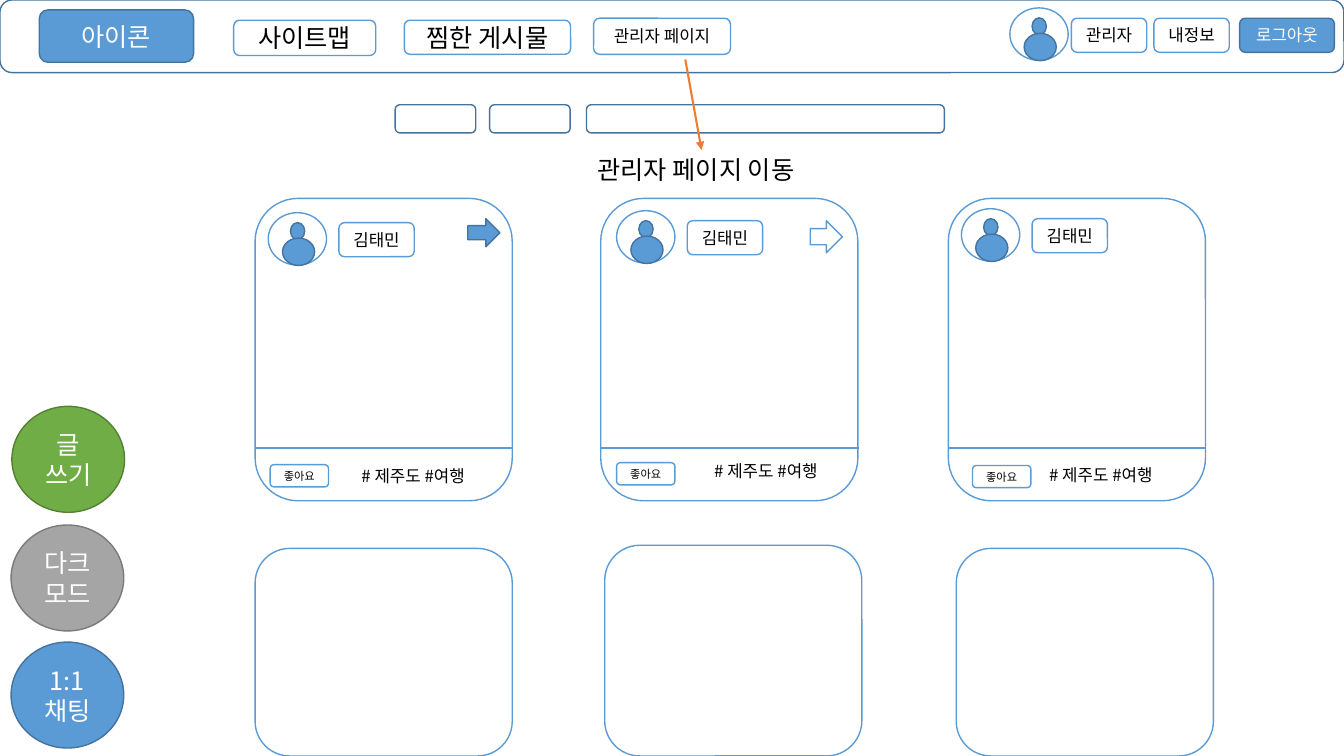
from dataclasses import dataclass

from lxml.etree import SubElement
from pptx import Presentation
from pptx.dml.color import RGBColor
from pptx.enum.shapes import MSO_CONNECTOR, MSO_SHAPE
from pptx.enum.text import MSO_ANCHOR, MSO_AUTO_SIZE, PP_ALIGN
from pptx.oxml.ns import qn
from pptx.slide import Slide
from pptx.text.text import TextFrame
from pptx.util import Cm, Pt

WHITE = RGBColor(0xFF, 0xFF, 0xFF)
BLACK = RGBColor(0x00, 0x00, 0x00)
BLUE = RGBColor(0x5B, 0x9B, 0xD5)
NAVY = RGBColor(0x43, 0x73, 0x9E)
GRAY = RGBColor(0xA5, 0xA5, 0xA5)
DARK = RGBColor(0x7A, 0x7A, 0x7A)
GREEN = RGBColor(0x70, 0xAD, 0x47)
MOSS = RGBColor(0x53, 0x80, 0x35)
ORANGE = RGBColor(0xED, 0x7D, 0x31)
FONT = "Noto Sans CJK KR"
ROUND, OVAL, ARROW = MSO_SHAPE.ROUNDED_RECTANGLE, MSO_SHAPE.OVAL, MSO_SHAPE.RIGHT_ARROW


@dataclass
class Box:
    """A preset shape in centimetres, with optional text."""
    x: float
    y: float
    w: float
    h: float
    text: str = ""
    size: int = 12
    kind: MSO_SHAPE = ROUND
    fill: RGBColor = WHITE
    line: RGBColor = BLUE
    ink: RGBColor = BLACK


@dataclass
class Card:
    """A post card: left edge, rule height and the corners of its parts."""
    x: float
    rule: float
    face: tuple[float, float]
    like: tuple[float, float]
    tag: tuple[float, float]


HEAD = [
    Box(0, 0, 33.87, 1.83, line=NAVY),
    Box(0.99, 0.25, 3.89, 1.32, "아이콘", 18, fill=BLUE, line=NAVY, ink=WHITE),
    Box(5.89, 0.51, 3.58, 0.89, "사이트맵", 18),
    Box(10.19, 0.51, 4.19, 0.86, "찜한 게시물", 18),
    Box(14.96, 0.46, 3.45, 0.91, "관리자 페이지"),
    Box(27, 0.46, 1.9, 0.86, "관리자"),
    Box(29.08, 0.46, 1.9, 0.86, "내정보"),
    Box(31.24, 0.46, 2.39, 0.86, "로그아웃", fill=BLUE, line=NAVY, ink=WHITE),
]
SEARCH = [Box(x, 2.64, w, 0.71, line=NAVY)
          for x, w in ((9.96, 2.03), (12.34, 2.03), (14.78, 9.02))]
CARDS = [
    Card(6.43, 11.3, (6.76, 5.36), (6.81, 11.71), (8.86, 11.61)),
    Card(15.14, 11.3, (15.54, 5.31), (15.54, 11.66), (17.75, 11.48)),
    Card(23.9, 11.28, (24.23, 5.26), (24.51, 11.73), (26.19, 11.58)),
]
LOWER = [Box(x, y, 6.48, 19.05 - y)
         for x, y in ((6.43, 13.82), (15.24, 13.74), (24.1, 13.82))]
MARKS = [
    Box(11.79, 5.51, 0.81, 0.71, kind=ARROW, fill=BLUE, line=NAVY),
    Box(20.42, 5.56, 0.81, 0.81, kind=ARROW),
]
ROUNDS = [
    Box(x, y, 2.84, 2.67, text, 18, OVAL, fill, line, WHITE)
    for x, y, text, fill, line in (
        (0.3, 10.24, "글\n쓰기", GREEN, MOSS),
        (0.28, 13.23, "다크모드", GRAY, DARK),
        (0.28, 16.18, "1:1 채팅", BLUE, NAVY),
    )
]


def write(frame: TextFrame, text: str, size: int, ink: RGBColor, align: PP_ALIGN) -> None:
    """Fill a text frame and format its runs."""
    frame.text = text
    for para in frame.paragraphs:
        para.alignment = align
        for run in para.runs:
            run.font.size = Pt(size)
            run.font.color.rgb = ink
            run.font.name = FONT
            SubElement(run.font._element, qn("a:ea"), typeface=FONT)


def draw(slide: Slide, box: Box) -> None:
    """Draw one preset shape."""
    shape = slide.shapes.add_shape(box.kind, Cm(box.x), Cm(box.y), Cm(box.w), Cm(box.h))
    shape.shadow.inherit = False
    shape.fill.solid()
    shape.fill.fore_color.rgb = box.fill
    shape.line.color.rgb = box.line
    shape.line.width = Pt(1)
    if box.text:
        shape.text_frame.vertical_anchor = MSO_ANCHOR.MIDDLE
        write(shape.text_frame, box.text, box.size, box.ink, PP_ALIGN.CENTER)


def label(slide: Slide, x: float, y: float, w: float, h: float, text: str, size: int) -> None:
    """Draw unwrapped plain text."""
    frame = slide.shapes.add_textbox(Cm(x), Cm(y), Cm(w), Cm(h)).text_frame
    frame.word_wrap = False
    frame.auto_size = MSO_AUTO_SIZE.SHAPE_TO_FIT_TEXT
    write(frame, text, size, BLACK, PP_ALIGN.LEFT)


def rule(slide: Slide, start: tuple[float, float], end: tuple[float, float],
         color: RGBColor, head: bool = False) -> None:
    """Draw a straight line, with an arrowhead if asked."""
    line = slide.shapes.add_connector(
        MSO_CONNECTOR.STRAIGHT, *(Cm(v) for v in (*start, *end)))
    line.line.color.rgb = color
    line.line.width = Pt(1.5)
    if head:
        SubElement(line.line._get_or_add_ln(), qn("a:tailEnd"), type="triangle")
    SubElement(line._element.spPr, qn("a:effectLst"))


def face(slide: Slide, x: float, y: float) -> None:
    """Draw a user icon."""
    draw(slide, Box(x, y, 1.47, 1.32, kind=OVAL))
    for dx, dy, w, h in ((0.56, 0.25, 0.36, 0.43), (0.36, 0.64, 0.81, 0.69)):
        draw(slide, Box(x + dx, y + dy, w, h, kind=OVAL, fill=BLUE, line=NAVY))


def post(slide: Slide, card: Card) -> None:
    """Draw a post card with its user, rule, like button and tags."""
    draw(slide, Box(card.x, 5, 6.48, 7.62))
    rule(slide, (card.x, card.rule), (card.x + 6.5, card.rule), BLUE)
    x, y = card.face
    face(slide, x, y)
    draw(slide, Box(x + 1.78, y + 0.25, 1.9, 0.86, "김태민"))
    draw(slide, Box(*card.like, 1.47, 0.56, "좋아요", 8))
    label(slide, *card.tag, 3.48, 0.76, "# 제주도 #여행", 12)


def main() -> None:
    """Build the slide and save it."""
    deck = Presentation()
    deck.slide_width, deck.slide_height = Cm(33.87), Cm(19.05)
    slide = deck.slides.add_slide(deck.slide_layouts[6])
    for box in HEAD + SEARCH:
        draw(slide, box)
    face(slide, 25.45, 0.2)
    for card in CARDS:
        post(slide, card)
    for box in LOWER + MARKS + ROUNDS:
        draw(slide, box)
    rule(slide, (17.27, 1.5), (17.68, 3.78), ORANGE, head=True)
    label(slide, 14.81, 3.76, 6.1, 1.02, "관리자 페이지 이동", 18)
    deck.save("out.pptx")


if __name__ == "__main__":
    main()
